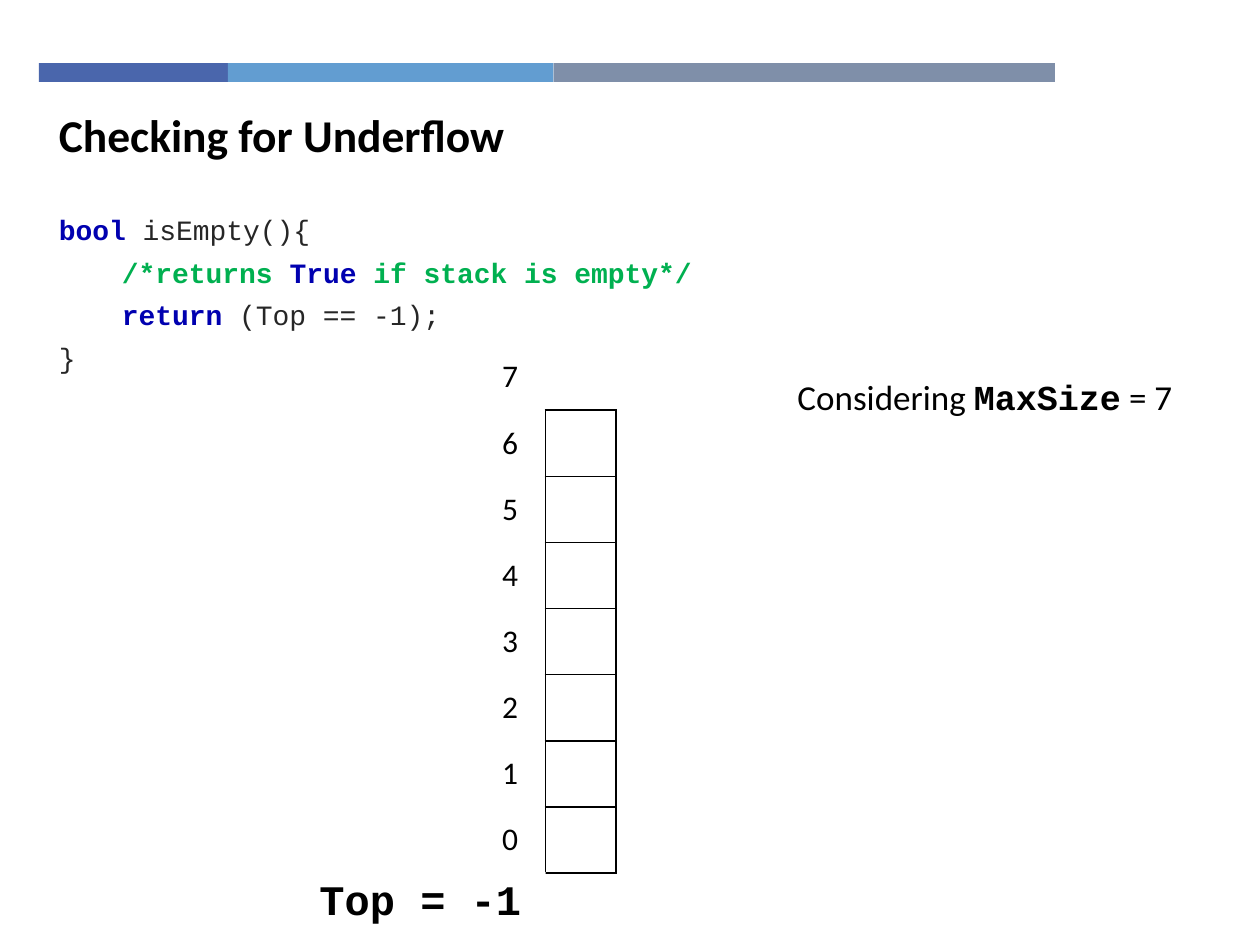
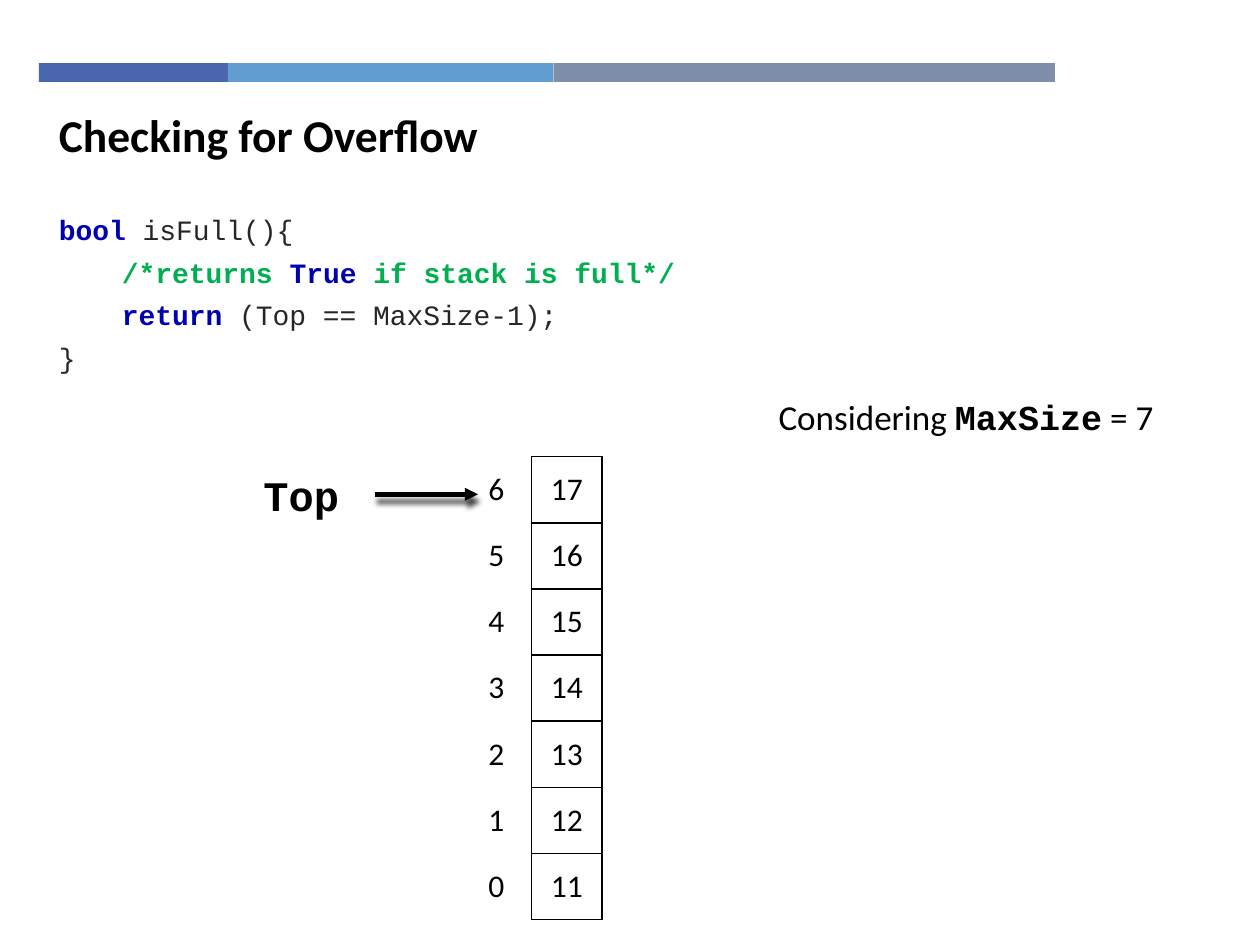
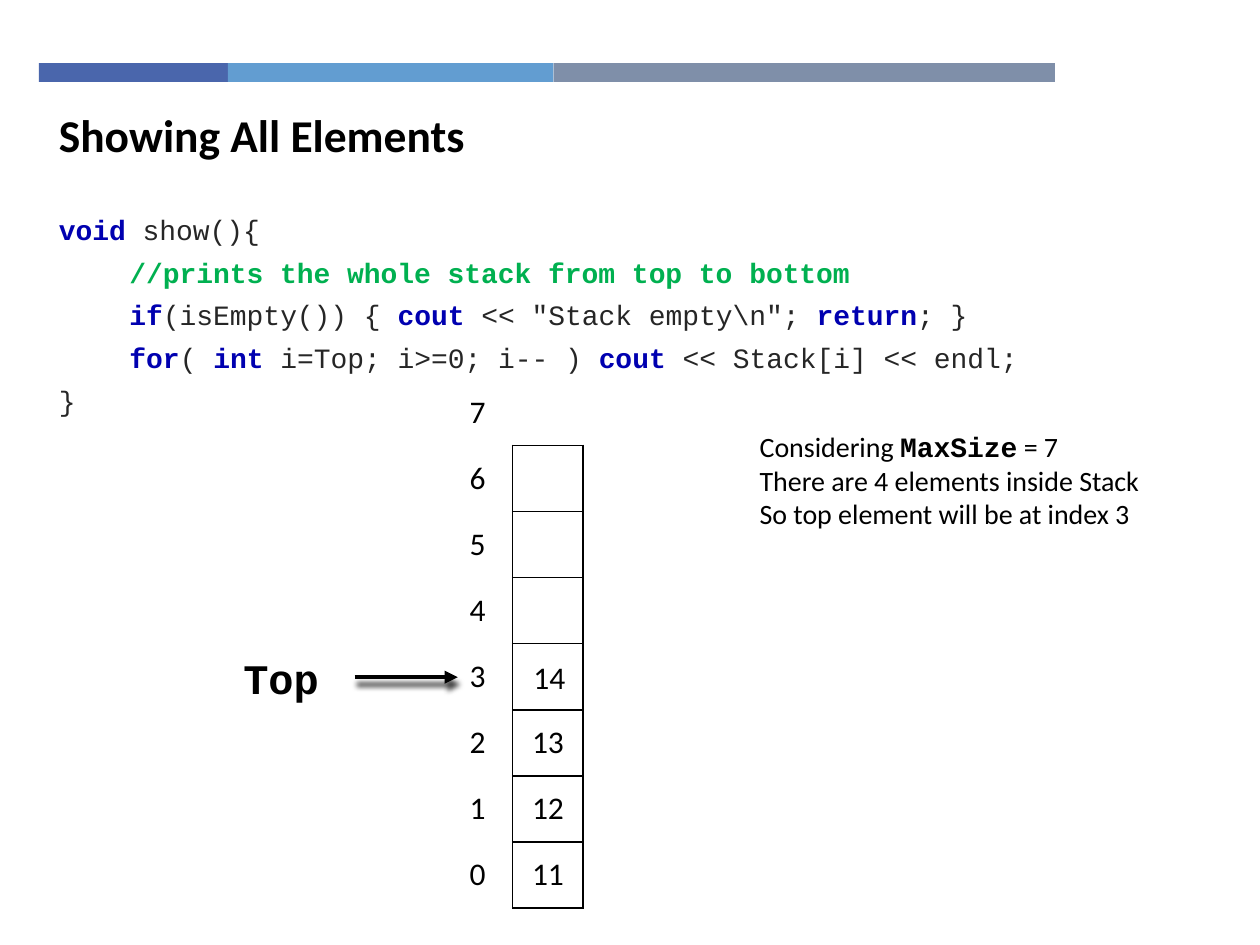
from dataclasses import dataclass

from lxml import etree
from pptx import Presentation
from pptx.dml.color import RGBColor
from pptx.enum.shapes import MSO_CONNECTOR as Connector, MSO_SHAPE as Shape
from pptx.enum.text import MSO_ANCHOR as Anchor, PP_ALIGN as Align
from pptx.oxml import parse_xml
from pptx.oxml.ns import nsdecls, qn
from pptx.util import Pt


# Theme: colours, fonts, type sizes
@dataclass(frozen=True)
class Theme:
    black: str = "000000"
    white: str = "FFFFFF"
    code: str = "262626"
    keyword: str = "0000B0"
    comment: str = "00B050"
    bands: tuple = (("4A66AC", 108), ("629DD1", 186), ("7F8FA9", 286.5))
    body_font: str = "Calibri"
    code_font: str = "Courier New"
    title_size: float = 26
    pointer_size: float = 24
    note_size: float = 20
    cell_size: float = 18
    code_size: float = 16


CODE, KEYWORD, COMMENT = "code", "keyword", "comment"
MARGIN = 26.6
ROW_HEIGHT, COLUMN_WIDTH = 37.8, 40.3
POINTER_WIDTH, POINTER_HEIGHT = 85, 31
ARROW_LENGTH = 59


class Deck:
    """Holds the theme and the slide being built."""

    def __init__(self, theme):
        self.theme = theme
        self.presentation = Presentation()
        self.presentation.slide_width = Pt(720)
        self.presentation.slide_height = Pt(540)
        self.slide = None

    def new_slide(self, title):
        layout = self.presentation.slide_layouts[6]
        self.slide = self.presentation.slides.add_slide(layout)
        left = 22.3
        for color, width in self.theme.bands:
            self.rectangle(left, 36, width, 10.8, color)
            left += width
        frame = self.text_box(MARGIN, 57.6, 515.5, 38.9)
        paragraph = frame.paragraphs[0]
        paragraph.text = title
        self.style(paragraph.font, self.theme.title_size, bold=True)

    def style(self, font, size, color=None, name=None, bold=False):
        font.size = Pt(size)
        font.name = name or self.theme.body_font
        font.bold = bold
        font.color.rgb = RGBColor.from_string(color or self.theme.black)

    def rectangle(self, left, top, width, height, color):
        shape = self.slide.shapes.add_shape(
            Shape.RECTANGLE, Pt(left), Pt(top), Pt(width), Pt(height))
        shape.shadow.inherit = False
        shape.fill.solid()
        shape.fill.fore_color.rgb = RGBColor.from_string(color)
        shape.line.fill.background()
        return shape

    def text_box(self, left, top, width, height):
        box = self.slide.shapes.add_textbox(Pt(left), Pt(top), Pt(width), Pt(height))
        box.text_frame.word_wrap = True
        return box.text_frame

    def code(self, lines, width=474.5, hanging=0):
        """Each line is a list of (text, kind) pieces."""
        frame = self.text_box(MARGIN, 121.7, width, 120.2)
        for index, pieces in enumerate(lines):
            paragraph = frame.add_paragraph() if index else frame.paragraphs[0]
            paragraph.alignment = Align.JUSTIFY
            paragraph.line_spacing = 0.8
            paragraph.space_before, paragraph.space_after = Pt(4), Pt(5)
            if hanging:
                properties = paragraph._p.get_or_add_pPr()
                properties.set("marL", str(Pt(hanging)))
                properties.set("indent", str(-Pt(hanging)))
            for text, kind in pieces:
                run = paragraph.add_run()
                run.text = text
                self.style(run.font, self.theme.code_size, getattr(self.theme, kind),
                           self.theme.code_font, kind != CODE)

    def note(self, left, top, width, height, size, more=()):
        frame = self.text_box(left, top, width, height)
        paragraph = frame.paragraphs[0]
        for text in ("Considering ", "MaxSize", " = 7"):
            run = paragraph.add_run()
            run.text = text
            is_code = text == "MaxSize"
            self.style(run.font, size, bold=is_code,
                       name=self.theme.code_font if is_code else None)
        for text in more:
            paragraph = frame.add_paragraph()
            paragraph.text = text
            self.style(paragraph.font, size)

    def centred(self, holder, text, size, **look):
        """Write one centred line in a cell or a text frame."""
        holder.vertical_anchor = Anchor.MIDDLE
        frame = getattr(holder, "text_frame", holder)
        paragraph = frame.paragraphs[0]
        paragraph.text = text
        paragraph.alignment = Align.CENTER
        self.style(paragraph.font, size, **look)

    def borders(self, cell, sides):
        properties = cell._tc.get_or_add_tcPr()
        edges = [parse_xml(
            f'<a:ln{side} {nsdecls("a")} w="{Pt(1)}"><a:solidFill>'
            f'<a:srgbClr val="{self.theme.black}"/></a:solidFill></a:ln{side}>')
            for side in "LRTB" if side in sides]
        for position, edge in enumerate(edges):
            properties.insert(position, edge)

    def stack(self, left, top, labels, values):
        """Index column beside a column of boxes; the first row has no box."""
        count = len(labels)
        table = self.slide.shapes.add_table(
            count, 2, Pt(left), Pt(top),
            Pt(2 * COLUMN_WIDTH), Pt(count * ROW_HEIGHT)).table
        table.first_row = table.horz_banding = False
        for column in table.columns:
            column.width = Pt(COLUMN_WIDTH)
        for index, texts in enumerate(zip(labels, values)):
            table.rows[index].height = Pt(ROW_HEIGHT)
            for column, text in enumerate(texts):
                cell = table.cell(index, column)
                cell.fill.background()
                self.centred(cell, text, self.theme.cell_size)
                if column:
                    self.borders(cell, "LRTB" if index else "B")
                elif index:
                    self.borders(cell, "R")

    def pointer_label(self, left, top, text, width=POINTER_WIDTH):
        shape = self.rectangle(left, top, width, POINTER_HEIGHT, self.theme.white)
        self.centred(shape.text_frame, text, self.theme.pointer_size,
                     name=self.theme.code_font, bold=True)

    def top_pointer(self, left, top):
        self.pointer_label(left, top, "Top")
        start, middle = left + POINTER_WIDTH - 0.5, top + POINTER_HEIGHT / 2
        arrow = self.slide.shapes.add_connector(
            Connector.STRAIGHT, Pt(start), Pt(middle),
            Pt(start + ARROW_LENGTH), Pt(middle))
        arrow.line.width = Pt(2.5)
        arrow.line.color.rgb = RGBColor.from_string(self.theme.black)
        etree.SubElement(arrow.line._get_or_add_ln(), qn("a:tailEnd"), type="triangle")
        arrow._element.spPr.append(parse_xml(
            f'<a:effectLst {nsdecls("a")}>'
            f'<a:outerShdw blurRad="{Pt(3)}" dist="{Pt(4.5)}" dir="{70 * 60000}">'
            f'<a:srgbClr val="{self.theme.black}"><a:alpha val="75000"/></a:srgbClr>'
            '</a:outerShdw></a:effectLst>'))


def check_function(name, state, condition):
    """Code of a function that tests the state of the stack."""
    return [
        [("bool ", KEYWORD), (f"{name}(){{", CODE)],
        [("\t/*returns ", COMMENT), ("True ", KEYWORD),
         (f"if stack is {state}*/", COMMENT)],
        [("\treturn", KEYWORD), (f" (Top == {condition});", CODE)],
        [("}", CODE)],
    ]


def main():
    theme = Theme()
    deck = Deck(theme)
    indexes = [str(number) for number in range(7, -1, -1)]
    empty = [""] * 8

    # Underflow
    deck.new_slide("Checking for Underflow")
    deck.code(check_function("isEmpty", "empty", "-1"))
    deck.stack(271.4, 196.6, indexes, empty)
    deck.pointer_label(168.5, 498.2, "Top = -1", width=143.3)
    deck.note(448.6, 211, 255.6, 31.7, theme.note_size)

    # Overflow
    deck.new_slide("Checking for Overflow")
    deck.code(check_function("isFull", "full", "MaxSize-1"))
    full = [str(number) for number in range(17, 10, -1)]
    deck.stack(263.5, 223.2, [""] + indexes[1:], [""] + full)
    deck.top_pointer(129.6, 267)
    deck.note(437.8, 222.5, 255.6, 31.7, theme.note_size)

    # Showing the elements
    deck.new_slide("Showing All Elements")
    deck.code([
        [("void", KEYWORD), (" show(){", CODE)],
        [("\t//prints the whole stack from top to bottom", COMMENT)],
        [("\tif", KEYWORD), ("(isEmpty()) { ", CODE), ("cout ", KEYWORD),
         ('<< "Stack empty\\n"; ', CODE), ("return", KEYWORD), ("; }", CODE)],
        [("\tfor", KEYWORD), ("( ", CODE), ("int ", KEYWORD),
         ("i=Top; i>=0; i-- ) ", CODE), ("cout", KEYWORD),
         (" << Stack[i] << endl; ", CODE)],
        [("}", CODE)],
    ], width=594, hanging=40.3)
    deck.stack(252.7, 216.7, indexes, empty[:5] + ["13", "12", "11"])
    deck.note(427, 241.9, 250.6, 65.5, theme.code_size,
              ("There are 4 elements inside Stack",
               "So top element will be at index 3"))
    deck.top_pointer(118.1, 371.5)
    top_element = deck.text_box(293.8, 367.9, COLUMN_WIDTH, ROW_HEIGHT)
    deck.centred(top_element, "14", theme.cell_size)

    deck.presentation.save("out.pptx")


if __name__ == "__main__":
    main()
